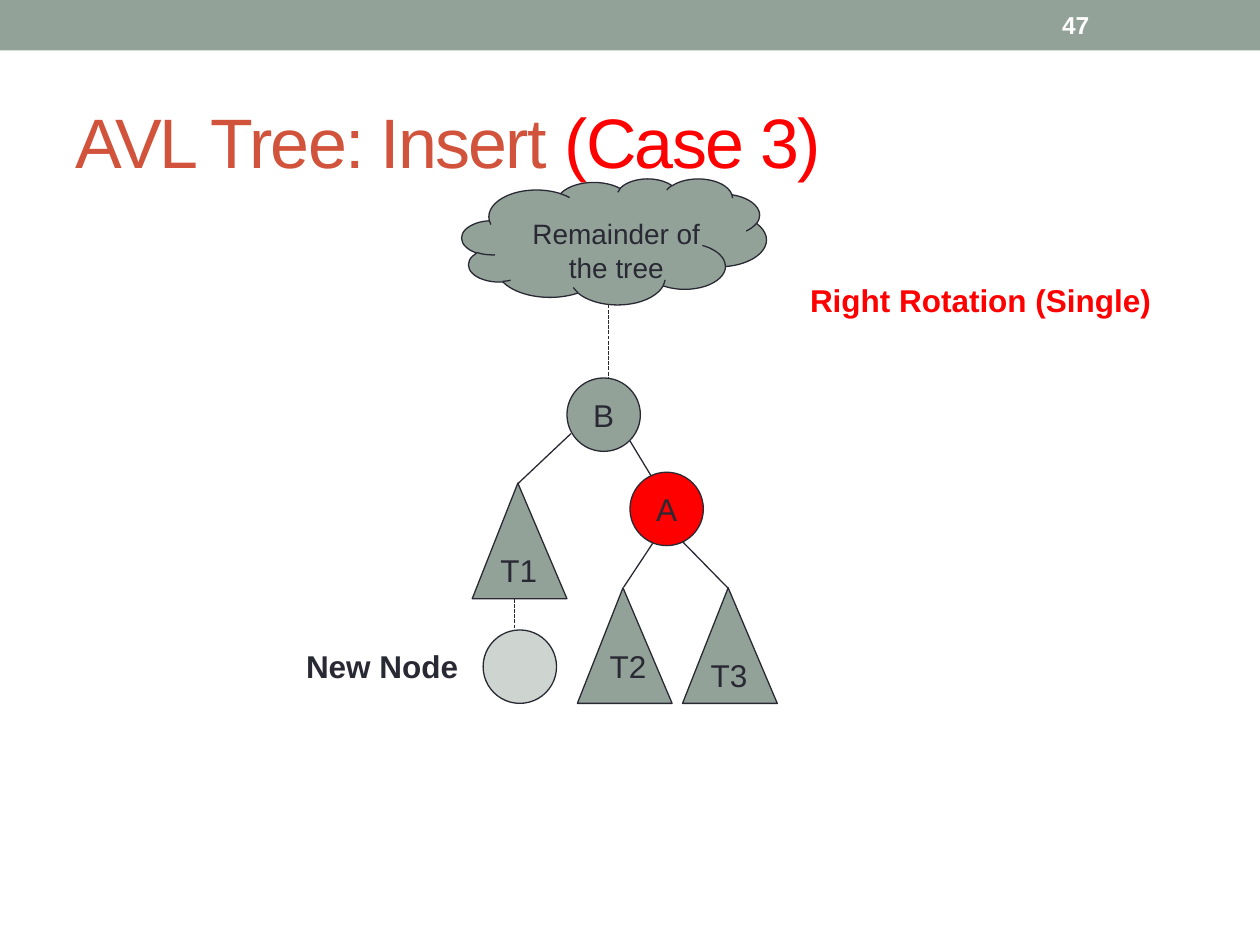
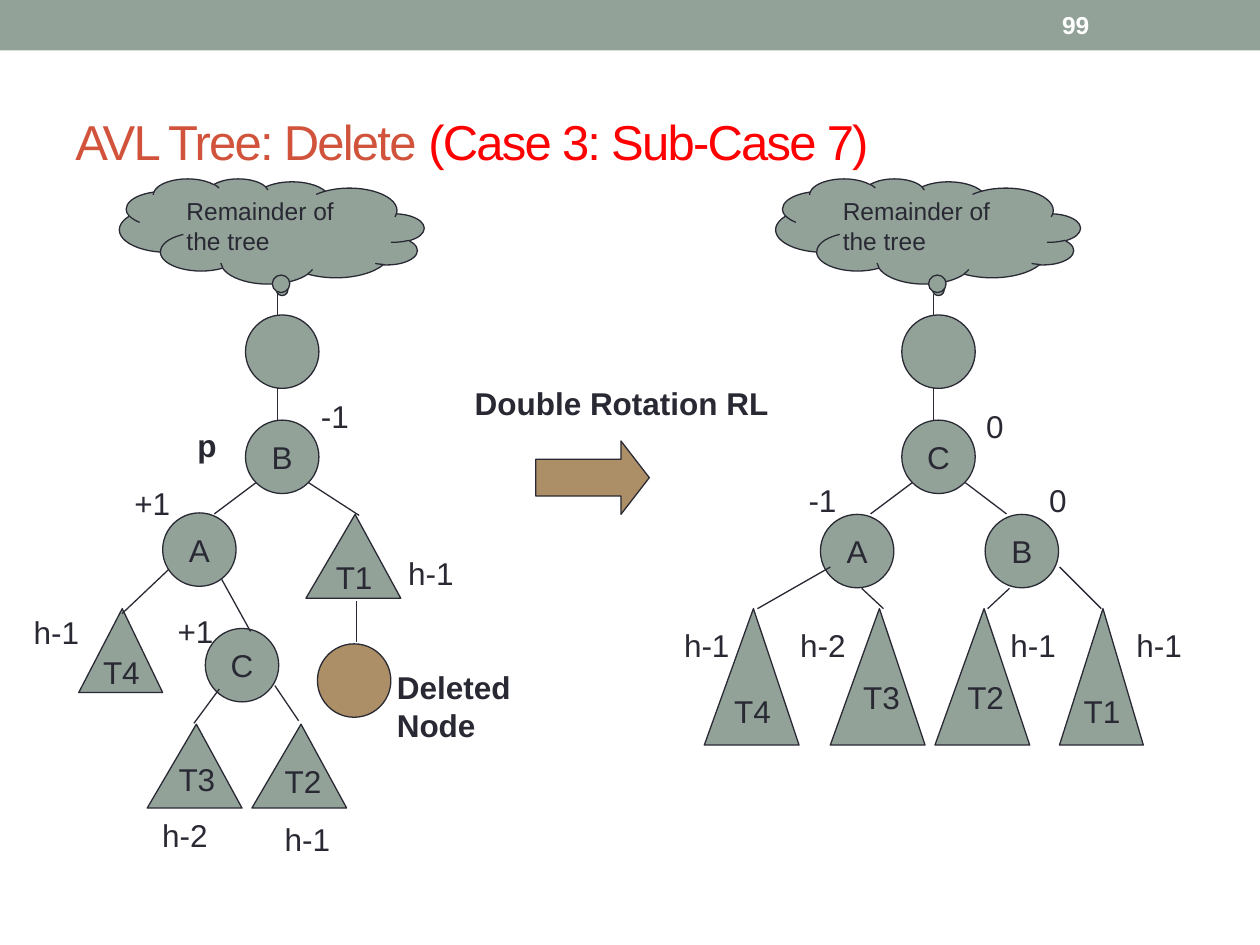
from dataclasses import dataclass
from typing import Any

from lxml.etree import SubElement
from pptx import Presentation
from pptx.dml.color import RGBColor
from pptx.enum.dml import MSO_LINE
from pptx.enum.shapes import MSO_CONNECTOR, MSO_SHAPE as SHAPE
from pptx.enum.text import MSO_ANCHOR as ANCHOR, MSO_AUTO_SIZE, PP_ALIGN as ALIGN
from pptx.oxml.ns import qn
from pptx.util import Cm, Pt

FONT = "Arial"
SAGE, INK, TAN = "93A299", "292934", "AD8F67"
RUST, RED, WHITE = "D2533C", "FF0000", "FFFFFF"
NODE = 1.48
APEX = 0.482
LABEL_H = 1.02
LABEL_W = {"h-1": 1.45, "h-2": 1.45, "+1": 1.24, "-1": 1.09, "0": 0.86,
           "T2": 1.3, "T3": 1.3, "p": 0.91}


def rgb(color):
    return RGBColor.from_string(color)


def add_run(p, text, size, color=INK, bold=False):
    r = p.add_run()
    r.text = text
    r.font.name, r.font.size, r.font.bold = FONT, Pt(size), bold
    r.font.color.rgb = rgb(color)
    return r


@dataclass
class Region:
    """Part of a slide; every position is in cm from its top left corner."""
    slide: Any
    left: float = 0
    top: float = 0
    flip: bool = False

    def at(self, x, y):
        return Cm(self.left + x), Cm(self.top + y)

    def shape(self, kind, x, y, w, h, text="", fill=SAGE, line=INK, adj=(), flip=False):
        sp = self.slide.shapes.add_shape(kind, *self.at(x, y), Cm(w), Cm(h))
        sp.shadow.inherit = False
        sp.fill.solid()
        sp.fill.fore_color.rgb = rgb(fill)
        if line:
            sp.line.color.rgb = rgb(line)
            sp.line.width = Pt(0.75)
        else:
            sp.line.fill.background()
        for i, value in enumerate(adj):
            sp.adjustments[i] = value
        if flip:
            sp._element.spPr.find(qn("a:xfrm")).set("flipH", "1")
        if text:
            tf = sp.text_frame
            tf.word_wrap = False
            tf.vertical_anchor = ANCHOR.MIDDLE
            p = tf.paragraphs[0]
            p.alignment = ALIGN.CENTER
            add_run(p, text, 18)
        return sp

    def node(self, x, y, text="", fill=SAGE):
        return self.shape(SHAPE.OVAL, x, y, NODE, NODE, text, fill)

    def subtree(self, x, y, w, h, text=""):
        self.shape(SHAPE.ISOSCELES_TRIANGLE, x, y, w, h, text,
                   adj=[APEX], flip=self.flip)

    def link(self, x1, y1, x2, y2, dashed=False):
        cn = self.slide.shapes.add_connector(
            MSO_CONNECTOR.STRAIGHT, *self.at(x1, y1), *self.at(x2, y2))
        cn.line.color.rgb = rgb(INK)
        cn.line.width = Pt(0.75)
        if dashed:
            cn.line.dash_style = MSO_LINE.SQUARE_DOT
        SubElement(cn._element.spPr, qn("a:effectLst"))

    def text(self, x, y, w, h, lines, size=18, color=INK, bold=False,
             align=ALIGN.LEFT, wrap=False):
        box = self.slide.shapes.add_textbox(*self.at(x, y), Cm(w), Cm(h))
        tf = box.text_frame
        tf.word_wrap = wrap
        tf.auto_size = MSO_AUTO_SIZE.SHAPE_TO_FIT_TEXT
        for i, line in enumerate(lines):
            p = tf.add_paragraph() if i else tf.paragraphs[0]
            p.alignment = align
            add_run(p, line, size, color, bold)

    def label(self, text, x, y, bold=False):
        self.text(x, y, LABEL_W[text], LABEL_H, [text], bold=bold)


def add_frame(prs, topic, case, size, number):
    """New slide with the band, the two-coloured title and the slide number."""
    slide = prs.slides.add_slide(prs.slide_layouts[6])
    Region(slide).shape(SHAPE.RECTANGLE, 0, 0, 25.4, 1.02, line=None)
    for x, y, w, h, parts in (
            (1.27, 1.47, 22.86, 2.74, [(topic, size, RUST), (case, size, RED)]),
            (21.16, 0.05, 2.97, 0.91, [(number, 14, WHITE, True)])):
        tf = slide.shapes.add_textbox(Cm(x), Cm(y), Cm(w), Cm(h)).text_frame
        tf.word_wrap = True
        tf.vertical_anchor = ANCHOR.MIDDLE
        for part in parts:
            r = add_run(tf.paragraphs[0], *part)
            if part[1] == size:
                r.font._element.set("spc", "-100")
    return slide


def draw_insert_tree(reg):
    reg.shape(SHAPE.CLOUD, 3.39, 0, 6.14, 2.54)
    reg.text(4.32, 0.64, 4.37, 1.63, ["Remainder of", "the tree"], 16,
             align=ALIGN.CENTER, wrap=True)
    reg.text(10.16, 1.94, 7.47, 1.02, ["Right Rotation (Single)"], color=RED, bold=True)

    reg.node(5.51, 4.02, "B")
    reg.node(6.78, 5.92, "A", RED)
    for x, y, name in ((3.6, 6.14, "T1"), (5.72, 8.25, ""), (7.84, 8.25, "T3")):
        reg.subtree(x, y, 1.91, 2.33, name)
    reg.label("T2", 6.12, 9.31)

    new_node = reg.node(3.82, 9.1)
    color = new_node.fill._xPr.find(qn("a:solidFill"))[0]
    SubElement(color, qn("a:alpha")).set("val", "45000")
    reg.text(0, 9.31, 3.58, 1.09, ["New Node"], bold=True)

    reg.link(6.35, 2.54, 6.35, 4.02, dashed=True)
    reg.link(4.45, 8.47, 4.45, 9.1, dashed=True)
    for ends in ((6.78, 5.29, 7.21, 6), (5.59, 5.14, 4.52, 6.15),
                 (7.24, 7.35, 6.65, 8.24), (7.84, 7.32, 8.76, 8.26)):
        reg.link(*ends)


def draw_stem(reg, root):
    """Cloud, parent node and root, which both delete trees begin with."""
    reg.shape(SHAPE.CLOUD_CALLOUT, 2.16, 0, 6.14, 2.12, adj=[-0.034, 0.56], flip=True)
    reg.text(3.26, 0.23, 4.37, 1.45, ["Remainder of", "the tree"], 14, wrap=True)
    reg.node(4.7, 2.75)
    reg.node(4.7, 4.87, root)
    reg.link(5.34, 2.33, 5.34, 2.75)
    reg.link(5.34, 4.23, 5.34, 4.87)
    reg.link(4.91, 6.13, 4.07, 6.76)


def draw_tree_before(reg):
    draw_stem(reg, "B")
    reg.node(3.03, 6.74, "A")
    reg.node(3.89, 9.07, "C")
    reg.node(6.15, 9.38, fill=TAN)
    for x, y, w, name in ((5.92, 6.77, 1.91, "T1"), (1.34, 8.67, 1.69, "T4"),
                          (2.72, 11, 1.91, ""), (4.83, 11, 1.91, "")):
        reg.subtree(x, y, w, 1.69, name)
    for ends in ((5.97, 6.13, 6.99, 6.79), (4.22, 8.08, 4.8, 9.13),
                 (3.15, 7.88, 2.21, 8.77), (5.29, 10.22, 5.77, 10.93),
                 (4.17, 10.29, 3.66, 10.98), (6.94, 8.52, 6.94, 9.35)):
        reg.link(*ends)
    for label in (("T3", 3.1, 11.59), ("T2", 5.24, 11.64), ("h-1", 7.73, 7.45),
                  ("h-2", 2.77, 12.73), ("h-1", 5.24, 12.81), ("h-1", 0.18, 8.64),
                  ("+1", 3.08, 8.62), ("+1", 2.21, 6.03), ("-1", 5.97, 4.27),
                  ("p", 3.48, 4.86, True)):
        reg.label(*label)
    reg.text(7.5, 9.74, 2.95, 1.96, ["Deleted", "Node"], bold=True)


def draw_tree_after(reg):
    draw_stem(reg, "C")
    reg.node(3.06, 6.77, "A")
    reg.node(6.38, 6.77, "B")
    for x, w, name in ((0.72, 1.91, "T4"), (3.26, 1.91, ""),
                       (5.37, 1.91, ""), (7.88, 1.69, "T1")):
        reg.subtree(x, 8.67, w, 2.75, name)
    for ends in ((5.98, 6.13, 6.81, 6.76), (7.88, 7.83, 8.72, 8.67),
                 (6.87, 8.26, 6.43, 8.67), (3.89, 8.26, 4.33, 8.67),
                 (3.26, 7.83, 1.79, 8.67)):
        reg.link(*ends)
    for label in (("T3", 3.67, 9.94), ("T2", 5.77, 9.94), ("h-1", 0.06, 8.9),
                  ("h-2", 2.4, 8.9), ("h-1", 6.64, 8.9), ("h-1", 9.18, 8.9),
                  ("0", 6.15, 4.48), ("-1", 2.57, 5.98), ("0", 7.42, 5.98)):
        reg.label(*label)


def draw_rotation(reg):
    reg.text(0, 0, 6.5, 1.02, ["Double Rotation RL"], bold=True)
    reg.shape(SHAPE.RIGHT_ARROW, 1.48, 1.27, 2.29, NODE, fill=TAN, adj=[0.5, 0.386])


def main():
    prs = Presentation()
    prs.slide_width, prs.slide_height = Cm(25.4), Cm(19.05)

    slide = add_frame(prs, "AVL Tree: Insert ", "(Case 3)", 40, "47")
    draw_insert_tree(Region(slide, 5.92, 3.6))

    slide = add_frame(prs, "AVL Tree: Delete ", "(Case 3: Sub-Case 7)", 28, "99")
    draw_rotation(Region(slide, 9.32, 7.62))
    draw_tree_before(Region(slide, 0.25, 3.6, flip=True))
    draw_tree_after(Region(slide, 13.48, 3.6, flip=True))

    prs.save("out.pptx")


if __name__ == "__main__":
    main()
